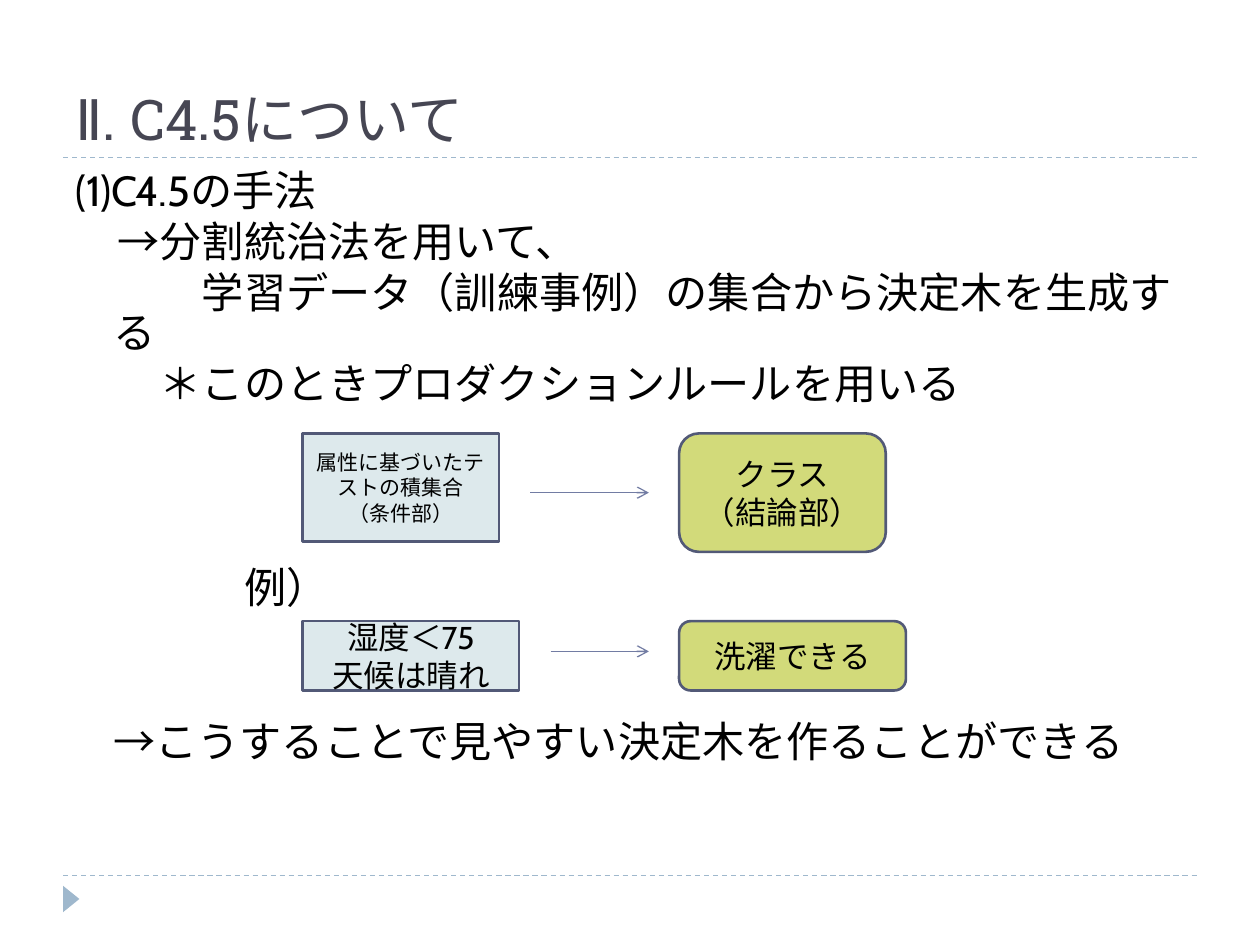
import dataclasses

import lxml.etree
import pptx
import pptx.dml.color
import pptx.enum.dml
import pptx.enum.shapes
import pptx.enum.text
import pptx.oxml.ns
import pptx.util

SHAPES = pptx.enum.shapes.MSO_SHAPE
ANCHOR = pptx.enum.text.MSO_ANCHOR
ALIGN = pptx.enum.text.PP_ALIGN

COLUMNS, ROWS = 100, 75
SLIDE_WIDTH, SLIDE_HEIGHT = pptx.util.Inches(10), pptx.util.Inches(7.5)


@dataclasses.dataclass(frozen=True)
class Theme:
    title_font: str = "Roboto Slab"
    body_font: str = "Cabin"
    title_size: float = 32
    body_size: float = 24.1
    box_size: float = 18
    small_size: float = 12
    title_color: str = "464653"
    text_color: str = "000000"
    accent: str = "9FB8CD"
    condition_fill: str = "DDE9EC"
    conclusion_fill: str = "D2DA7A"
    outline: str = "525977"
    arrow: str = "727CA3"


THEME = Theme()

TITLE = "Ⅱ. C4.5について"
# Text, first-line start in full-width characters, space before in points
BODY = [
    ("(1)C4.5の手法", 0, 6),
    ("→分割統治法を用いて、", 1, 6),
    ("学習データ（訓練事例）の集合から決定木を生成する", 3, 6),
    ("＊このときプロダクションルールを用いる", 2, 6),
    ("例）", 4, 93.4),
    ("→こうすることで見やすい決定木を作ることができる", 0.9, 64.7),
]
CONDITION_COLUMN, CONCLUSION_COLUMN = 24, 53.9


def across(columns):
    return round(SLIDE_WIDTH * columns / COLUMNS)


def down(rows):
    return round(SLIDE_HEIGHT * rows / ROWS)


def place(left, top, width, height):
    return across(left), down(top), across(width), down(height)


def rgb(color):
    return pptx.dml.color.RGBColor.from_string(color)


def format_runs(text_frame, font, size, color):
    for paragraph in text_frame.paragraphs:
        for run in paragraph.runs:
            run.font.name = font
            run.font.size = pptx.util.Pt(size)
            run.font.color.rgb = rgb(color)


def add_text(slide, area, text, anchor):
    text_frame = slide.shapes.add_textbox(*place(*area)).text_frame
    text_frame.word_wrap = True
    text_frame.vertical_anchor = anchor
    text_frame.text = text
    return text_frame


def add_title(slide):
    text_frame = add_text(slide, (5, 1.7, 90, 10.8), TITLE, ANCHOR.BOTTOM)
    format_runs(text_frame, THEME.title_font, THEME.title_size, THEME.title_color)


def add_body(slide):
    """Add the outline; wrapped lines share one margin, first lines step in."""
    text = "\n".join(line for line, _, _ in BODY)
    text_frame = add_text(slide, (5, 13.3, 90, 54), text, ANCHOR.TOP)
    margin = pptx.util.Inches(0.3)
    for paragraph, (_, characters, space) in zip(text_frame.paragraphs, BODY):
        paragraph.line_spacing = 0.8
        paragraph.space_before = pptx.util.Pt(space)
        properties = paragraph._p.get_or_add_pPr()
        first_line = pptx.util.Pt(characters * THEME.body_size)
        properties.set("marL", str(margin))
        properties.set("indent", str(first_line - margin))
    format_runs(text_frame, THEME.body_font, THEME.body_size, THEME.text_color)


def add_shape(slide, kind, area, fill):
    shape = slide.shapes.add_shape(kind, *place(*area))
    shape.shadow.inherit = False
    shape.fill.solid()
    shape.fill.fore_color.rgb = rgb(fill)
    return shape


def add_box(slide, kind, area, fill, text, size):
    shape = add_shape(slide, kind, area, fill)
    shape.line.color.rgb = rgb(THEME.outline)
    shape.line.width = pptx.util.Pt(1.5)
    text_frame = shape.text_frame
    text_frame.word_wrap = True
    text_frame.vertical_anchor = ANCHOR.MIDDLE
    text_frame.text = text
    for paragraph in text_frame.paragraphs:
        paragraph.alignment = ALIGN.CENTER
    format_runs(text_frame, THEME.body_font, size, THEME.text_color)


def add_line(slide, start, end, row, color):
    connector = slide.shapes.add_connector(
        pptx.enum.shapes.MSO_CONNECTOR.STRAIGHT,
        across(start), down(row), across(end), down(row))
    connector.line.color.rgb = rgb(color)
    connector.line.width = pptx.util.Pt(0.75)
    lxml.etree.SubElement(
        connector._element.spPr, pptx.oxml.ns.qn("a:effectLst"))
    return connector


def add_rule(slide, row):
    connector = add_line(slide, 5, 95, row, THEME.accent)
    connector.line.dash_style = pptx.enum.dml.MSO_LINE.DASH


def add_arrow(slide, start, end, row):
    connector = add_line(slide, start, end, row, THEME.arrow)
    lxml.etree.SubElement(
        connector.line._get_or_add_ln(), pptx.oxml.ns.qn("a:tailEnd"), type="arrow")


def add_production(slide, row, condition, conclusion, arrow_row):
    """Add one rule: a condition box, an arrow and a conclusion box.

    Each box is given as text, type size, width and height.
    """
    text, size, width, height = condition
    add_box(slide, SHAPES.RECTANGLE, (CONDITION_COLUMN, row, width, height),
            THEME.condition_fill, text, size)
    add_arrow(slide, CONDITION_COLUMN + width + 2.5, CONCLUSION_COLUMN - 2.4,
              arrow_row)
    text, size, width, height = conclusion
    add_box(slide, SHAPES.ROUNDED_RECTANGLE,
            (CONCLUSION_COLUMN, row, width, height),
            THEME.conclusion_fill, text, size)


def add_marker(slide):
    marker = add_shape(slide, SHAPES.ISOSCELES_TRIANGLE, (4.6, 70.7, 2.1, 1.3),
                       THEME.accent)
    marker.line.fill.background()
    marker.rotation = 90


def main():
    presentation = pptx.Presentation()
    presentation.slide_width = SLIDE_WIDTH
    presentation.slide_height = SLIDE_HEIGHT
    slide = presentation.slides.add_slide(presentation.slide_layouts[6])

    for row in (69.5, 12.5):
        add_rule(slide, row)
    add_marker(slide)
    add_title(slide)
    add_body(slide)
    add_production(
        slide, 34.4,
        ("属性に基づいたテストの積集合\n（条件部）", THEME.small_size, 15.6, 8.6),
        ("クラス\n（結論部）", THEME.box_size, 16.4, 9.4),
        39.1)
    add_production(
        slide, 49.3,
        ("湿度＜75\n天候は晴れ", THEME.box_size, 17.2, 5.5),
        ("洗濯できる", THEME.box_size, 18, 5.5),
        51.7)

    presentation.save("out.pptx")


if __name__ == "__main__":
    main()
